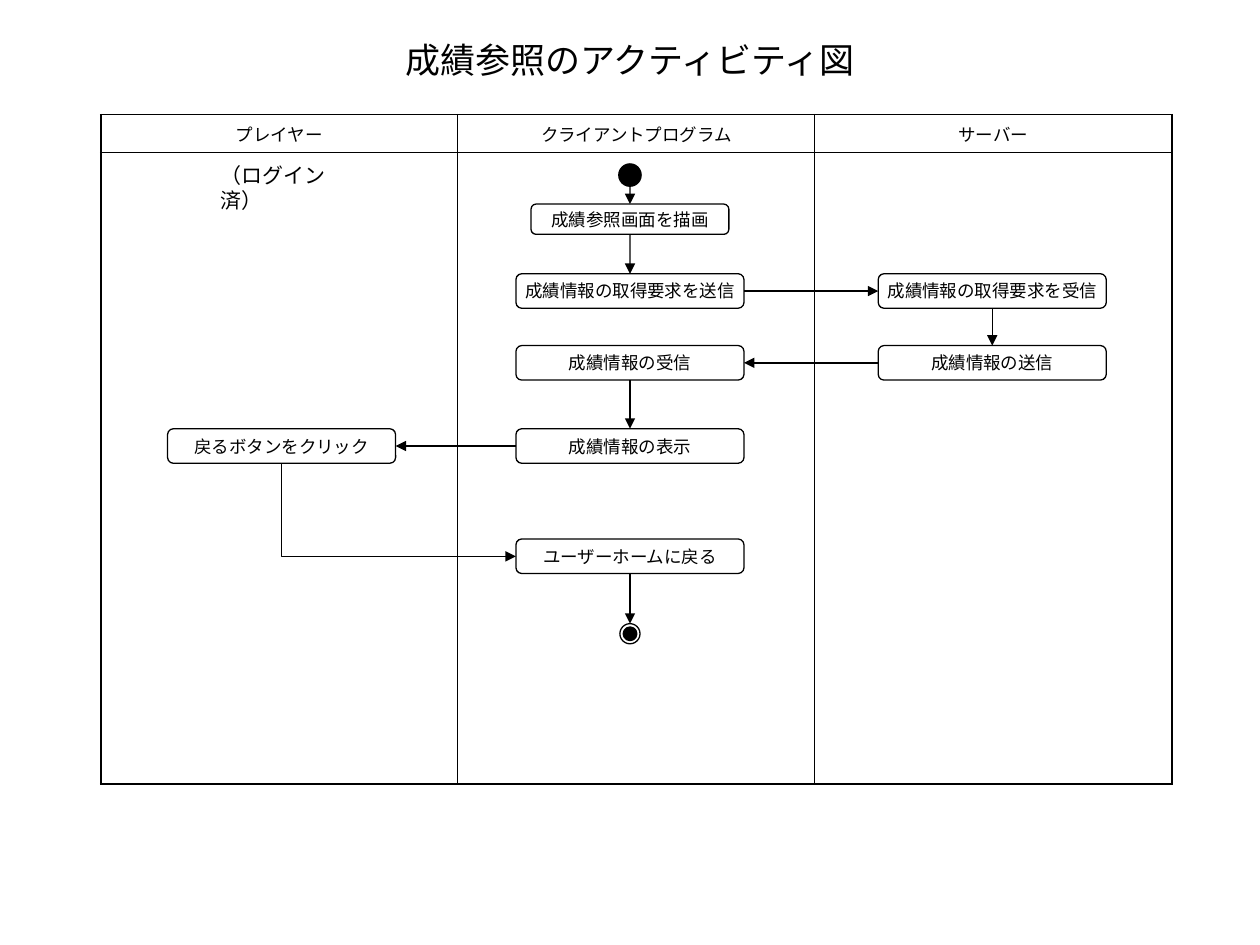
from dataclasses import dataclass

from lxml.etree import SubElement
from pptx import Presentation
from pptx.dml.color import RGBColor
from pptx.enum.shapes import MSO_CONNECTOR, MSO_SHAPE
from pptx.enum.text import MSO_ANCHOR, MSO_AUTO_SIZE, PP_ALIGN
from pptx.oxml import parse_xml
from pptx.oxml.ns import nsdecls, qn
from pptx.util import Inches, Pt

TOP, LEFT, BOTTOM, RIGHT = range(4)


@dataclass(frozen=True)
class Theme:
    font: str = "Times New Roman"
    ink: str = "000000"
    paper: str = "FFFFFF"
    title_size: float = 20
    note_size: float = 12
    label_size: float = 10
    line: float = 0.75
    dot_line: float = 2
    frame: float = 1.08
    divider: float = 0.45


class ActivityDiagram:
    """Draws on a grid of 100 columns by 75 rows, each a tenth of an inch."""

    def __init__(self, slide, theme):
        self.slide, self.theme = slide, theme

    def grid(self, *cells):
        return [Inches(cell / 10) for cell in cells]

    def add_words(self, frame, words, size, align=PP_ALIGN.CENTER):
        paragraph = frame.paragraphs[0]
        paragraph.alignment = align
        run = paragraph.add_run()
        run.text = words
        run.font.name = self.theme.font
        run.font.size = Pt(size)
        run.font.color.rgb = RGBColor.from_string(self.theme.ink)
        return paragraph

    def title(self, words, *area):
        heading = self.slide.shapes.title
        heading.left, heading.top, heading.width, heading.height = self.grid(*area)
        frame = heading.text_frame
        frame.auto_size = MSO_AUTO_SIZE.NONE
        frame.vertical_anchor = MSO_ANCHOR.MIDDLE
        self.add_words(frame, words, self.theme.title_size)

    def swimlanes(self, names, area, header_height):
        left, top, width, height = area
        table = self.slide.shapes.add_table(2, len(names), *self.grid(*area)).table
        table.first_row = table.horz_banding = False
        for column in table.columns:
            column.width = Inches(width / 10 / len(names))
        table.rows[0].height, table.rows[1].height = self.grid(
            header_height, height - header_height)
        last = len(names) - 1
        for index, name in enumerate(names):
            header, body = table.cell(0, index), table.cell(1, index)
            paragraph = self.add_words(header.text_frame, name, self.theme.label_size)
            paragraph.space_before = Pt(2.5)
            for cell in (header, body):
                cell.fill.background()
                self.borders(cell, L=index == 0, R=index == last,
                             T=cell is header, B=cell is body)

    def borders(self, cell, **outer_sides):
        properties = cell._tc.get_or_add_tcPr()
        for position, (side, is_outer) in enumerate(outer_sides.items()):
            width = Pt(self.theme.frame if is_outer else self.theme.divider)
            properties.insert(position, parse_xml(
                f'<a:ln{side} {nsdecls("a")} w="{width}"><a:solidFill>'
                f'<a:srgbClr val="{self.theme.ink}"/></a:solidFill></a:ln{side}>'))

    def outlined(self, preset, center, size, fill, line, parent=None):
        (x, y), (width, height) = center, size
        shape = (parent or self.slide).shapes.add_shape(
            preset, *self.grid(x - width / 2, y - height / 2, width, height))
        shape.shadow.inherit = False
        shape.fill.solid()
        shape.fill.fore_color.rgb = RGBColor.from_string(fill)
        shape.line.color.rgb = RGBColor.from_string(self.theme.ink)
        shape.line.width = Pt(line)
        return shape

    def activity(self, words, center, size=(18.1, 2.74)):
        box = self.outlined(MSO_SHAPE.ROUNDED_RECTANGLE, center, size,
                            self.theme.paper, self.theme.line)
        box.text_frame.word_wrap = False
        box.text_frame.vertical_anchor = MSO_ANCHOR.MIDDLE
        self.add_words(box.text_frame, words, self.theme.label_size)
        return box

    def dot(self, center, diameter, parent=None):
        return self.outlined(MSO_SHAPE.OVAL, center, (diameter, diameter),
                             self.theme.ink, self.theme.dot_line, parent)

    def final_node(self, center, diameter, core):
        group = self.slide.shapes.add_group_shape()
        self.outlined(MSO_SHAPE.OVAL, center, (diameter, diameter),
                      self.theme.paper, self.theme.line, group)
        self.dot(center, core, group)

    def note(self, words, *area):
        frame = self.slide.shapes.add_textbox(*self.grid(*area)).text_frame
        frame.word_wrap = True
        frame.auto_size = MSO_AUTO_SIZE.SHAPE_TO_FIT_TEXT
        self.add_words(frame, words, self.theme.note_size, PP_ALIGN.LEFT)

    def arrow(self, start, end, kind=MSO_CONNECTOR.STRAIGHT):
        """Each end is a (box, side) pair to join, or a (column, row) point."""
        free = [(0, 0) if hasattr(place[0], "text_frame") else place
                for place in (start, end)]
        link = self.slide.shapes.add_connector(kind, *self.grid(*free[0], *free[1]))
        if hasattr(start[0], "text_frame"):
            link.begin_connect(*start)
        if hasattr(end[0], "text_frame"):
            link.end_connect(*end)
        link.line.color.rgb = RGBColor.from_string(self.theme.ink)
        link.line.width = Pt(self.theme.line)
        properties = link.element.spPr
        SubElement(properties.find(qn("a:ln")), qn("a:tailEnd"), type="triangle")
        SubElement(properties, qn("a:effectLst"))
        return link

    def corner_arrow(self, start, end):
        """Goes down from the start, then right to the end."""
        link = self.arrow(start, end, MSO_CONNECTOR.ELBOW)
        across, down = link.width, link.height
        middle_x, middle_y = link.left + across // 2, link.top + down // 2
        link.left, link.top = middle_x - down // 2, middle_y - across // 2
        link.width, link.height = down, across
        properties = link.element.spPr
        properties.find(qn("a:prstGeom")).set("prst", "bentConnector2")
        transform = properties.find(qn("a:xfrm"))
        transform.set("rot", str(270 * 60000))
        transform.set("flipH", "1")


def main():
    deck = Presentation()
    deck.slide_width, deck.slide_height = Inches(10), Inches(7.5)
    slide = deck.slides.add_slide(deck.slide_layouts[5])
    diagram = ActivityDiagram(slide, Theme())
    player, client, server = 22.35, 50, 78.75

    diagram.title("成績参照のアクティビティ図", 0, 2.7, 100, 4.1)
    diagram.swimlanes(["プレイヤー", "クライアントプログラム", "サーバー"],
                      (8, 9.1, 85, 52.8), 2.7)
    diagram.note("（ログイン済）", 16.5, 12.4, 11.7, 5)

    diagram.dot((client, 13.9), 1.6)
    draw_screen = diagram.activity("成績参照画面を描画", (client, 17.4), (15.7, 2.4))
    send_request = diagram.activity("成績情報の取得要求を送信", (client, 23.1))
    receive_request = diagram.activity("成績情報の取得要求を受信", (server, 23.1))
    send_scores = diagram.activity("成績情報の送信", (server, 28.8))
    receive_scores = diagram.activity("成績情報の受信", (client, 28.8))
    show_scores = diagram.activity("成績情報の表示", (client, 35.4))
    click_back = diagram.activity("戻るボタンをクリック", (player, 35.4))
    return_home = diagram.activity("ユーザーホームに戻る", (client, 44.15))
    diagram.final_node((client, 50.3), 1.6, 0.9)

    diagram.arrow((client, 14.6), (draw_screen, TOP))
    for source, source_side, target, target_side in [
        (draw_screen, BOTTOM, send_request, TOP),
        (send_request, RIGHT, receive_request, LEFT),
        (receive_request, BOTTOM, send_scores, TOP),
        (send_scores, LEFT, receive_scores, RIGHT),
        (receive_scores, BOTTOM, show_scores, TOP),
        (show_scores, LEFT, click_back, RIGHT),
    ]:
        diagram.arrow((source, source_side), (target, target_side))
    diagram.corner_arrow((click_back, BOTTOM), (return_home, LEFT))
    diagram.arrow((return_home, BOTTOM), (client, 49.5))

    deck.save("out.pptx")


if __name__ == "__main__":
    main()
